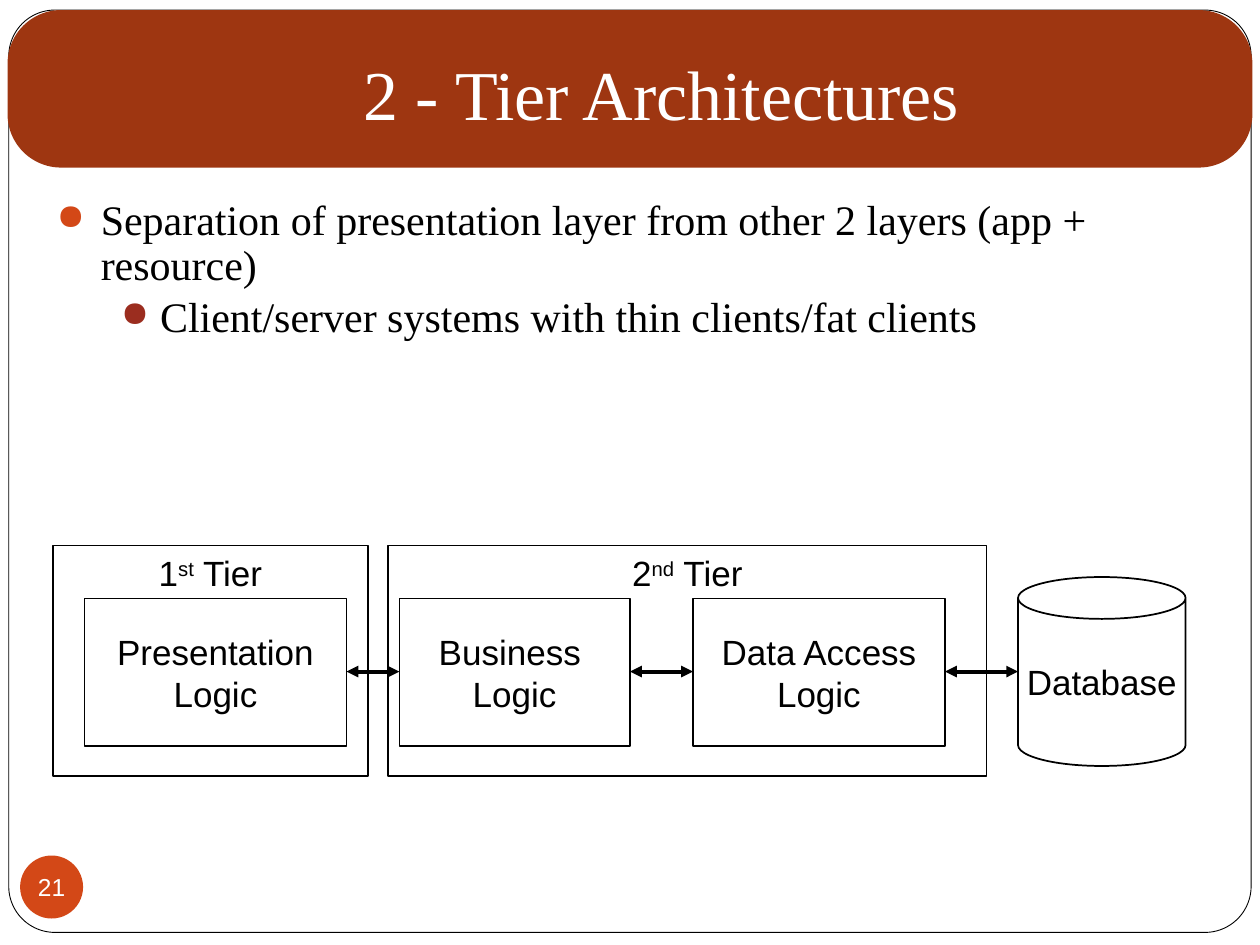
from pptx import Presentation
from pptx.dml.color import RGBColor
from pptx.enum.shapes import MSO_CONNECTOR, MSO_SHAPE
from pptx.enum.text import MSO_ANCHOR, PP_ALIGN
from pptx.oxml.ns import qn
from pptx.util import Inches, Pt
from lxml.etree import SubElement

WHITE = RGBColor(0xFF, 0xFF, 0xFF)
BLACK = RGBColor(0x00, 0x00, 0x00)
RUST = RGBColor(0x9E, 0x36, 0x11)
ORANGE = RGBColor(0xD3, 0x48, 0x17)
MAROON = RGBColor(0x9B, 0x2D, 0x1F)
SERIF = "Times New Roman"
SANS = "Arial"


class Deck:
    def __init__(self):
        self.show = Presentation()
        self.show.slide_width = Inches(10)
        self.show.slide_height = Inches(7.5)
        self.slide = self.show.slides.add_slide(self.show.slide_layouts[6])

    def shape(self, kind, at, fill=None, line=None, adj=None):
        item = self.slide.shapes.add_shape(kind, *map(Inches, at))
        item.shadow.inherit = False
        if adj is not None:
            item.adjustments[0] = adj
        if fill is None:
            item.fill.background()
        else:
            item.fill.solid()
            item.fill.fore_color.rgb = fill
        if line is None:
            item.line.fill.background()
        else:
            item.line.color.rgb = BLACK
            item.line.width = Pt(line)
        return item

    def frame(self, item, anchor, pads=(0.1, 0.05), wrap=True):
        frame = item.text_frame
        frame.word_wrap = wrap
        frame.vertical_anchor = anchor
        frame.margin_left = frame.margin_right = Inches(pads[0])
        frame.margin_top = frame.margin_bottom = Inches(pads[1])
        return frame

    def words(self, para, text, size, face, color, base=0):
        run = para.add_run()
        run.text = text
        run.font.size = Pt(size)
        run.font.name = face
        run.font.color.rgb = color
        if base:
            run._r.get_or_add_rPr().set("baseline", str(base * 1000))

    def title(self, at, text):
        box = self.slide.shapes.add_textbox(*map(Inches, at))
        para = self.frame(box, MSO_ANCHOR.MIDDLE, (0, 0)).paragraphs[0]
        para.alignment = PP_ALIGN.CENTER
        self.words(para, text, 40, SERIF, WHITE)

    def badge(self, at, text):
        disc = self.shape(MSO_SHAPE.OVAL, at, ORANGE)
        para = self.frame(disc, MSO_ANCHOR.MIDDLE, (0, 0), False).paragraphs[0]
        para.alignment = PP_ALIGN.CENTER
        self.words(para, text, 14, SANS, WHITE)

    def bullets(self, at, rows):
        box = self.slide.shapes.add_textbox(*map(Inches, at))
        frame = self.frame(box, MSO_ANCHOR.TOP, (0, 0))
        for i, (text, left, hang, gap, color) in enumerate(rows):
            para = frame.add_paragraph() if i else frame.paragraphs[0]
            para.level = i
            para.line_spacing = 0.9
            para.space_before = Pt(gap)
            props = para._p.get_or_add_pPr()
            props.set("marL", str(Inches(left)))
            props.set("indent", str(-Inches(hang)))
            tint = SubElement(props, qn("a:buClr"))
            SubElement(tint, qn("a:srgbClr"), val=str(color))
            SubElement(props, qn("a:buSzPct"), val="85000")
            SubElement(props, qn("a:buChar"), char="●")
            self.words(para, text, 24, SERIF, BLACK)

    def node(self, kind, at, lines, pads=(0.1, 0.05)):
        item = self.shape(kind, at, line=1)
        frame = self.frame(item, MSO_ANCHOR.MIDDLE, pads)
        for i, text in enumerate(lines):
            para = frame.add_paragraph() if i else frame.paragraphs[0]
            para.alignment = PP_ALIGN.CENTER
            self.words(para, text, 20, SANS, BLACK)

    def tier(self, left, width, count, suffix):
        item = self.shape(MSO_SHAPE.RECTANGLE, (left, 4.33, width, 1.83), line=1)
        para = self.frame(item, MSO_ANCHOR.TOP).paragraphs[0]
        para.alignment = PP_ALIGN.CENTER
        for text, base in ((count, 0), (suffix, 30), (" Tier", 0)):
            self.words(para, text, 20, SANS, BLACK, base)

    def arrow(self, start, end, y):
        link = self.slide.shapes.add_connector(
            MSO_CONNECTOR.STRAIGHT, Inches(start), Inches(y), Inches(end), Inches(y))
        link.line.color.rgb = BLACK
        link.line.width = Pt(2.25)
        line = link._element.spPr.find(qn("a:ln"))
        for tag in ("a:headEnd", "a:tailEnd"):
            SubElement(line, qn(tag), type="triangle")
        SubElement(link._element.spPr, qn("a:effectLst"))


def main():
    deck = Deck()
    deck.shape(MSO_SHAPE.ROUNDED_RECTANGLE, (0.07, 0.08, 9.86, 7.32), WHITE, 0.5, 0.05)
    deck.shape(MSO_SHAPE.ROUNDED_RECTANGLE, (0.06, 0.08, 9.88, 1.25), RUST, adj=0.34)
    deck.title((1, 0.11, 8.5, 1.25), "2 - Tier Architectures")
    deck.badge((0.16, 6.79, 0.5, 0.5), "21")
    deck.bullets((0.33, 1.58, 9.42, 5.06), (
        ("Separation of presentation layer from other 2 layers (app + resource)",
         0.47, 0.35, 0, ORANGE),
        ("Client/server systems with thin clients/fat clients",
         0.94, 0.31, 3.7, MAROON),
    ))

    logic = (
        (0.67, 2.08, ("Presentation Logic",)),
        (3.17, 1.83, ("Business ", "Logic")),
        (5.5, 2, ("Data Access Logic",)),
    )
    store = 8.08
    for left, width, lines in logic:
        deck.node(MSO_SHAPE.RECTANGLE, (left, 4.75, width, 1.17), lines)
    deck.node(MSO_SHAPE.CAN, (store, 4.58, 1.33, 1.5), ("Database",), (0, 0.05))

    stops = [left for left, _, _ in logic[1:]] + [store]
    for (left, width, _), stop in zip(logic, stops):
        deck.arrow(left + width, stop, 5.33)

    deck.tier(0.42, 2.5, "1", "st")
    deck.tier(3.08, 4.75, "2", "nd")
    deck.show.save("out.pptx")


if __name__ == "__main__":
    main()
